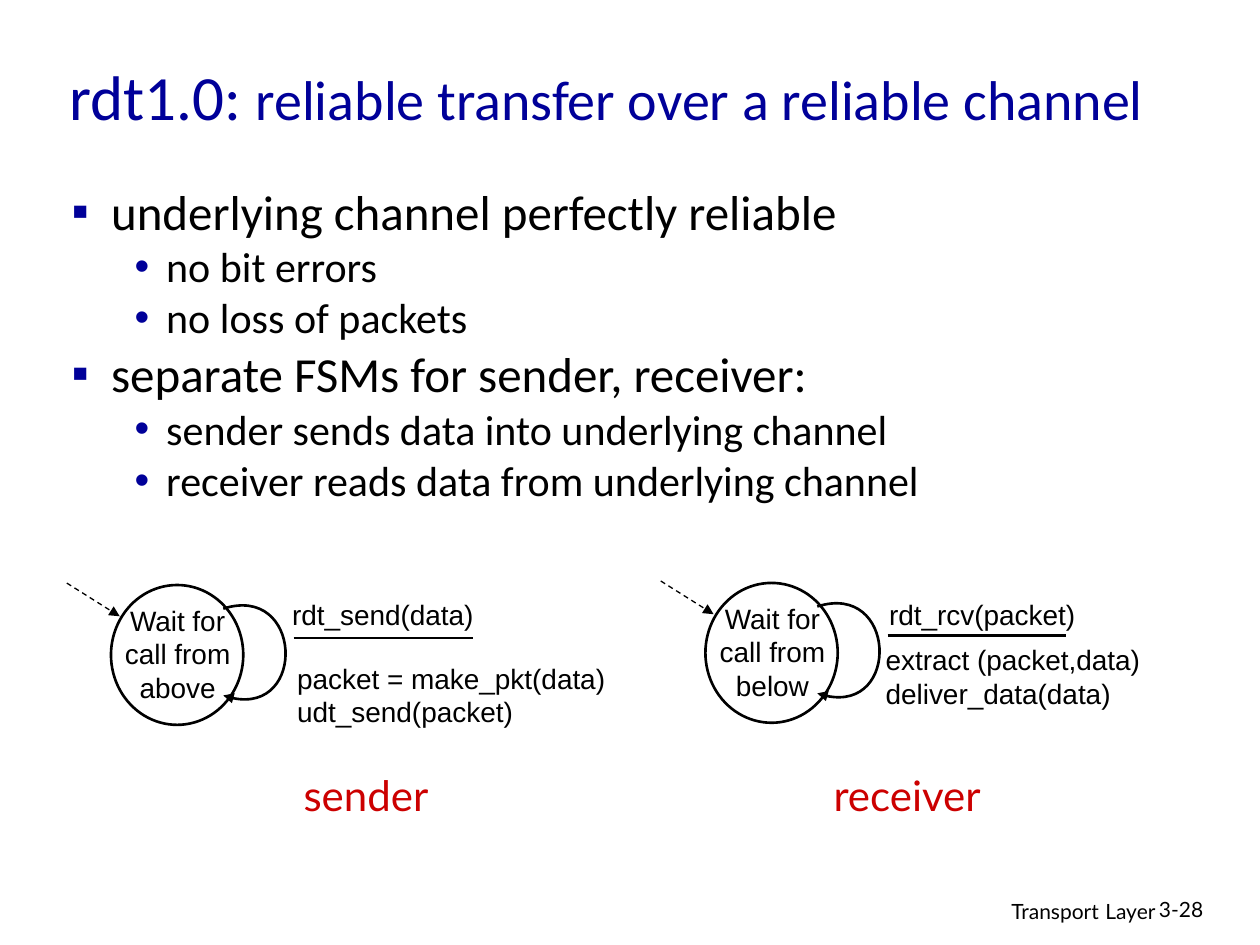
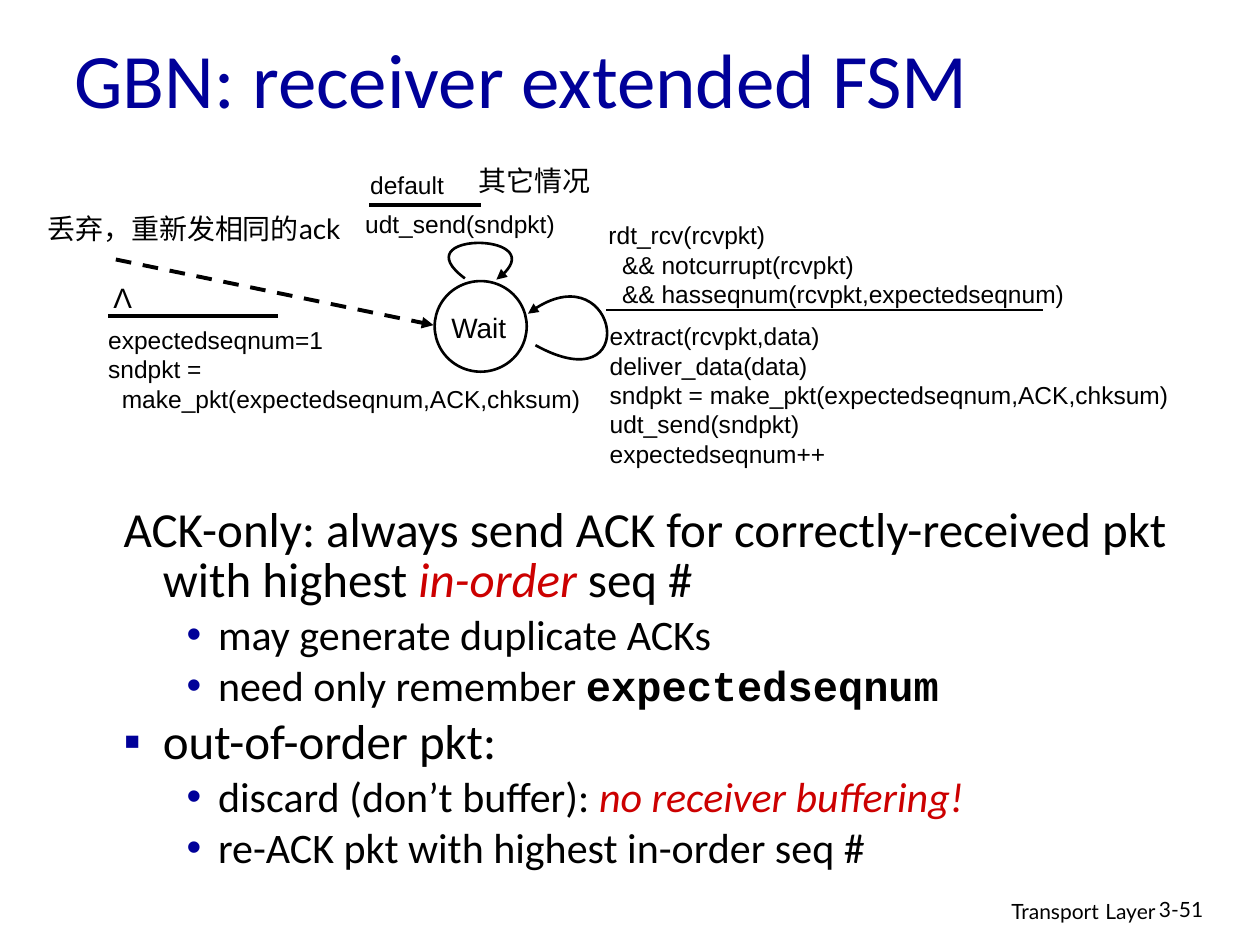
from lxml.etree import SubElement
from pptx import Presentation
from pptx.dml.color import RGBColor
from pptx.enum.dml import MSO_LINE_DASH_STYLE as DASH
from pptx.enum.shapes import MSO_CONNECTOR, MSO_SHAPE
from pptx.enum.text import MSO_ANCHOR, MSO_AUTO_SIZE, PP_ALIGN
from pptx.oxml.ns import qn
from pptx.util import Pt

# Shared style
NAVY, RED, BLACK, WHITE = "000099", "CC0000", "000000", "FFFFFF"
HEAD, NOTE, CODE, MONO = "Calibri", "Lato", "Arial", "Courier New"
LEFT, CENTER, RIGHT = PP_ALIGN.LEFT, PP_ALIGN.CENTER, PP_ALIGN.RIGHT
BULLETS = {0: "▪", 1: "•"}
BODY_SIZES = {0: 28, 1: 24}
INDENTS = {0: (22.5, -22.5), 1: (54, -18)}
rgb = RGBColor.from_string


def add_run(p, text, size=16, font=CODE, color=BLACK, bold=False, italic=False):
    r = p.add_run()
    r.text = text
    f = r.font
    f.size, f.name, f.bold, f.italic = Pt(size), font, bold, italic
    f.color.rgb = rgb(color)


def draw(s, points, width=1.5, dash=False, arrow=False):
    """Two points give a straight line, four a cubic curve."""
    pts = [(Pt(x), Pt(y)) for x, y in points]
    if len(pts) == 2:
        sp = s.shapes.add_connector(MSO_CONNECTOR.STRAIGHT, *pts[0], *pts[1])
        SubElement(sp._element.spPr, qn("a:effectLst"))
    else:
        fb = s.shapes.build_freeform(*pts[0])
        fb.add_line_segments(pts[1:], close=False)
        sp = fb.convert_to_shape()
        sp.shadow.inherit = False
        sp.fill.background()
        path = next(sp._element.iter(qn("a:path")))
        curve = SubElement(path, qn("a:cubicBezTo"))
        for seg in path.findall(qn("a:lnTo")):
            curve.append(seg[0])
            path.remove(seg)
    sp.line.color.rgb = rgb(BLACK)
    sp.line.width = Pt(width)
    if dash:
        sp.line.dash_style = DASH.DASH
    if arrow:
        SubElement(sp.line._get_or_add_ln(), qn("a:tailEnd"), type="triangle")


prs = Presentation()
prs.slide_width, prs.slide_height = Pt(720), Pt(540)

# Titles, lists and footers: body items are (level, bulleted, runs)
pages = [
    dict(
        number="3-28",
        title=[("rdt1.0: ", 36), ("reliable transfer over a reliable channel", 32)],
        title_box=(32.4, 15, 630, 79.2),
        body_box=(33.8, 105, 622, 237.6),
        body=[
            (0, True, [("underlying channel perfectly reliable", {})]),
            (1, True, [("no bit errors", {})]),
            (1, True, [("no loss of packets", {})]),
            (0, True, [("separate FSMs for sender, receiver:", {})]),
            (1, True, [("sender sends data into underlying channel", {})]),
            (1, True, [("receiver reads data from underlying channel", {})]),
        ],
    ),
    dict(
        number="3-51",
        title=[("GBN: receiver extended FSM", 44)],
        title_box=(35.3, 16.5, 612, 55.4),
        body_box=(63.4, 286.5, 641.5, 224.6),
        body=[
            (0, False, [
                ("ACK-only: always send ACK for correctly-received pkt with highest ", {}),
                ("in-order", dict(color=RED, italic=True)),
                (" seq #", {}),
            ]),
            (1, True, [("may generate duplicate ACKs", {})]),
            (1, True, [("need only remember ", {}),
                       ("expectedseqnum", dict(font=MONO, bold=True))]),
            (0, True, [("out-of-order pkt:", {})]),
            (1, True, [("discard (don’t buffer): ", {}),
                       ("no receiver buffering!", dict(color=RED, italic=True))]),
            (1, True, [("re-ACK pkt with highest in-order seq #", {})]),
        ],
    ),
]

for page in pages:
    s = prs.slides.add_slide(prs.slide_layouts[1])
    title, body = s.shapes.title, s.placeholders[1]
    for sp, box in ((title, page["title_box"]), (body, page["body_box"])):
        sp.left, sp.top, sp.width, sp.height = map(Pt, box)
        sp.text_frame.auto_size = MSO_AUTO_SIZE.NONE

    title.text_frame.vertical_anchor = MSO_ANCHOR.MIDDLE
    p = title.text_frame.paragraphs[0]
    p.alignment = LEFT
    for text, size in page["title"]:
        add_run(p, text, size=size, font=HEAD, color=NAVY)

    tf = body.text_frame
    for i, (level, bulleted, runs) in enumerate(page["body"]):
        p = tf.add_paragraph() if i else tf.paragraphs[0]
        p.level = level
        p.line_spacing = 0.85
        p.space_before = Pt(BODY_SIZES[level] * 0.2)
        pPr = p._p.get_or_add_pPr()
        margin, indent = INDENTS[level]
        pPr.set("marL", str(Pt(margin)))
        pPr.set("indent", str(Pt(indent)))
        if bulleted:
            SubElement(SubElement(pPr, qn("a:buClr")), qn("a:srgbClr"), val=NAVY)
            SubElement(pPr, qn("a:buFont"), typeface=CODE)
            SubElement(pPr, qn("a:buChar"), char=BULLETS[level])
        else:
            SubElement(pPr, qn("a:buNone"))
        for text, fmt in runs:
            add_run(p, text, **{"size": BODY_SIZES[level], "font": HEAD, **fmt})

    footer = [
        ((439.2, 507.6, 228.2, 22.3), RIGHT, [("Transport", 12), (" ", 14), ("Layer", 12)]),
        ((655.2, 509, 53.3, 21.6), LEFT, [(page["number"], 12)]),
    ]
    for box, align, runs in footer:
        tf = s.shapes.add_textbox(*map(Pt, box)).text_frame
        tf.word_wrap = True
        tf.paragraphs[0].alignment = align
        for text, size in runs:
            add_run(tf.paragraphs[0], text, size=size, font=NOTE)

rdt, gbn = prs.slides

# State circles
for s, box in (
    (rdt, (63.4, 334.3, 75.6, 79.9)),
    (rdt, (403.1, 333.1, 75.6, 79.9)),
    (gbn, (248.4, 160.6, 52.6, 51.8)),
):
    sp = s.shapes.add_shape(MSO_SHAPE.OVAL, *map(Pt, box))
    sp.shadow.inherit = False
    sp.fill.solid()
    sp.fill.fore_color.rgb = rgb(WHITE)
    sp.line.color.rgb = rgb(BLACK)
    sp.line.width = Pt(1.5)

# Sender and receiver transitions: self loop, rule, initial arrow
for dx, dy in ((0, 0), (339.4, -1.2)):
    loop = [(127.6, 347.8), (172.8, 333.4), (175.7, 414), (127.6, 397.4)]
    rule = [(167.8, 364.5), (270, 364.5)]
    start = [(38.2, 333.2), (68.4, 352.2)]
    loop, rule, start = ([(x + dx, y + dy) for x, y in pts] for pts in (loop, rule, start))
    draw(rdt, loop, arrow=True)
    draw(rdt, rule)
    draw(rdt, start, width=0.75, dash=True, arrow=True)

# Go-back-N transitions
draw(gbn, [(66.2, 148.3), (247.7, 185.8)], width=2.25, dash=True, arrow=True)
draw(gbn, [(306, 197.3), (367.2, 231.1), (352.8, 140.4), (301.7, 179.3)], arrow=True)
draw(gbn, [(265.7, 159.1), (229.7, 132.5), (320.4, 132.5), (283.7, 159.8)], arrow=True)
draw(gbn, [(211, 117.4), (275, 117.4)], width=2.25)
draw(gbn, [(61.9, 180.7), (159.1, 180.7)], width=2.25)
draw(gbn, [(346.3, 177.1), (596.2, 177.1)])

# Labels
small = dict(size=14)
note = dict(font=NOTE)
role = dict(size=24, font=NOTE, color=RED)
labels = [
    (rdt, (58.3, 341.3, 86.4, 72), CENTER, {}, ["Wait for call from above"]),
    (rdt, (398.2, 340, 86.4, 72), CENTER, {}, ["Wait for call from below"]),
    (rdt, (159.8, 337.7, 178, 34), LEFT, {}, ["rdt_send(data)"]),
    (rdt, (162.7, 374.4, 211, 46.8), LEFT, {}, ["packet = make_pkt(data)", "udt_send(packet)"]),
    (rdt, (495.4, 337.7, 131.7, 26.6), CENTER, {}, ["rdt_rcv(packet)"]),
    (rdt, (499, 363.6, 196, 34), LEFT, {}, ["extract (packet,data)", "deliver_data(data)"]),
    (rdt, (161.3, 436.3, 95.7, 36), CENTER, role, ["sender"]),
    (rdt, (464.4, 436.3, 107.9, 36), CENTER, role, ["receiver"]),
    (gbn, (241.9, 174.2, 63.4, 18.7), CENTER, {}, ["Wait"]),
    (gbn, (204.5, 93.6, 64, 19.4), LEFT, small, ["default"]),
    (gbn, (201.6, 115.9, 127.4, 24.5), LEFT, small, ["udt_send(sndpkt)"]),
    (gbn, (340.6, 122.4, 290, 44.6), LEFT, small, [
        "rdt_rcv(rcvpkt)", "&& notcurrupt(rcvpkt)",
        "&& hasseqnum(rcvpkt,expectedseqnum)"]),
    (gbn, (341.3, 180, 345, 67.7), LEFT, small, [
        "extract(rcvpkt,data)", "deliver_data(data)",
        "sndpkt = make_pkt(expectedseqnum,ACK,chksum)",
        "udt_send(sndpkt)", "expectedseqnum++"]),
    (gbn, (54.7, 182.2, 290, 77), LEFT, small, [
        "expectedseqnum=1", "sndpkt =", "make_pkt(expectedseqnum,ACK,chksum)"]),
    (gbn, (55.6, 157, 29.2, 26.6), CENTER, {}, ["Λ"]),
    (gbn, (266.4, 90, 109.4, 26.6), LEFT, note, ["其它情况"]),
    (gbn, (20.2, 117.4, 184.3, 26.6), LEFT, note, ["丢弃，重新发相同的ack"]),
]
for s, box, align, fmt, lines in labels:
    tf = s.shapes.add_textbox(*map(Pt, box)).text_frame
    tf.word_wrap = True
    for i, line in enumerate(lines):
        p = tf.add_paragraph() if i else tf.paragraphs[0]
        p.alignment = align
        # Continuation lines are set in by two spaces' width
        if line.startswith(("&&", "make_pkt")):
            p._p.get_or_add_pPr().set("marL", str(Pt(7.8)))
        add_run(p, line, **fmt)

prs.save("out.pptx")
